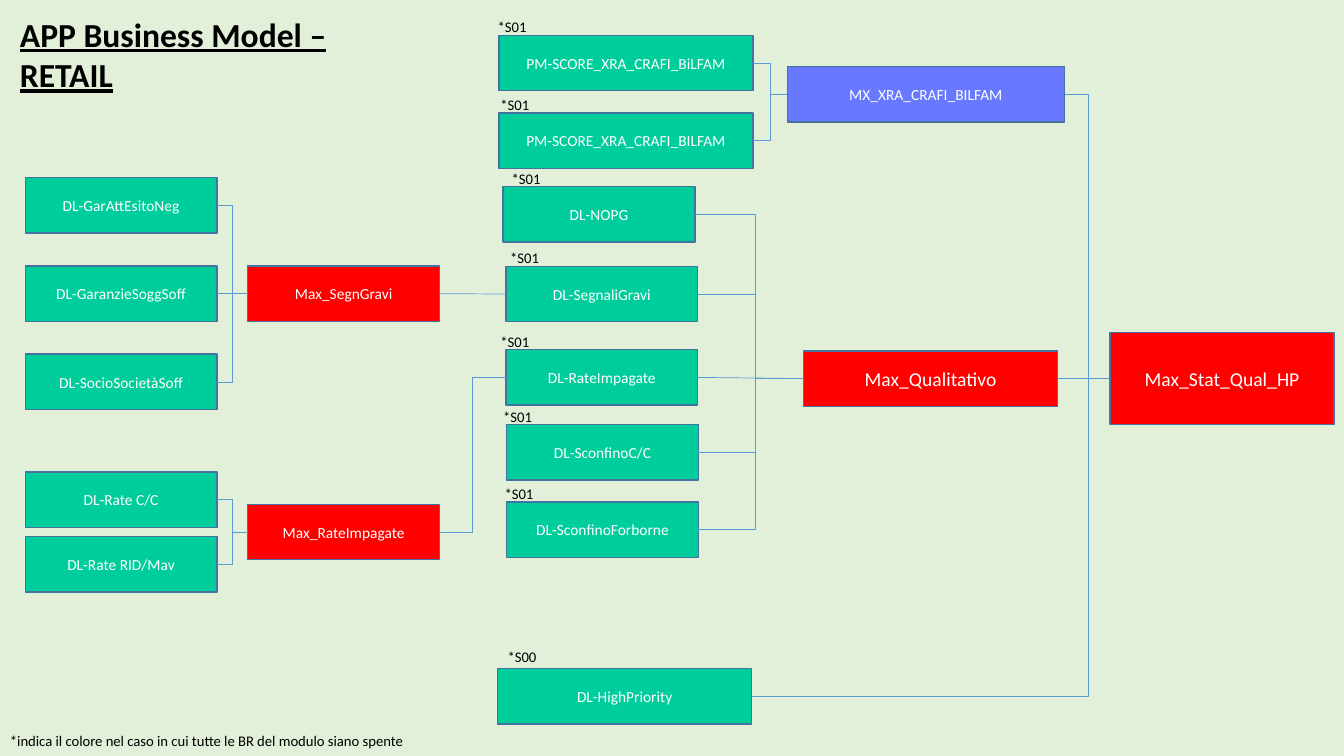
import collections

import pptx
import pptx.dml.color
import pptx.enum.shapes
import pptx.enum.text
import pptx.oxml
import pptx.util

Pt = pptx.util.Pt
Box = collections.namedtuple("Box", "left top width height")
Connector = pptx.enum.shapes.MSO_CONNECTOR
Anchor = pptx.enum.text.MSO_ANCHOR

COLOURS = {
    "page": "E2F0D9", "module": "00CD9C", "maximum": "FF0000", "score": "6879FF",
    "border": "43739E", "link": "5B9BD5", "dark": "000000", "light": "FFFFFF",
}
FONT = "Calibri"
NODE_HEIGHT = 39.6
NARROW, WIDE = 137, 181.5
LEFT_SITE, RIGHT_SITE = 1, 3


def colour(name):
    """Return the named colour as an RGB value."""
    return pptx.dml.color.RGBColor.from_string(COLOURS[name])


def inside(box, left, top, width, height=NODE_HEIGHT):
    """Return a box whose offsets are counted from the corner of another."""
    return Box(box.left + left, box.top + top, width, height)


def write(shape, text, size, ink):
    """Put one paragraph into a shape and return it."""
    shape.text_frame.word_wrap = True
    para = shape.text_frame.paragraphs[0]
    para.text = text
    para.font.name = FONT
    para.font.size = Pt(size)
    para.font.color.rgb = colour(ink)
    return para


def add_label(page, box, text, size=10.5):
    """Add a plain text box and return its paragraph and frame."""
    label = page.shapes.add_textbox(*map(Pt, box))
    return write(label, text, size, "dark"), label.text_frame


def add_node(page, box, text, fill="module", size=11):
    """Add one filled box of the diagram."""
    node = page.shapes.add_shape(
        pptx.enum.shapes.MSO_SHAPE.RECTANGLE, *map(Pt, box))
    node.shadow.inherit = False
    node.fill.solid()
    node.fill.fore_color.rgb = colour(fill)
    node.line.color.rgb = colour("border")
    node.line.width = Pt(1)
    node.text_frame.vertical_anchor = Anchor.MIDDLE
    para = write(node, text, size, "light")
    para.alignment = pptx.enum.text.PP_ALIGN.CENTER
    return node


def add_tag(page, box, left, top, text="*S01"):
    """Add the colour mark above a node."""
    add_label(page, inside(box, left, top, 94, 21), text)


def link(page, source, target, bend=None, kind=Connector.ELBOW):
    """Join two nodes, with the elbow at the horizontal position bend."""
    line = page.shapes.add_connector(kind, 0, 0, 0, 0)
    line.begin_connect(source, RIGHT_SITE)
    line.end_connect(target, LEFT_SITE)
    line.line.color.rgb = colour("link")
    line.line.width = Pt(0.5)
    properties = line._element.spPr
    pptx.oxml.ns  # namespace table used by qn below
    properties.append(pptx.oxml.xmlchemy.OxmlElement("a:effectLst"))
    if bend is not None:
        share = (Pt(bend) - line.begin_x) / (line.end_x - line.begin_x)
        guides = properties.prstGeom.get_or_add_avLst()
        guide = pptx.oxml.xmlchemy.OxmlElement("a:gd")
        guide.set("name", "adj1")
        guide.set("fmla", f"val {round(share * 100000)}")
        guides.append(guide)


def draw_title(page, box):
    """Write the underlined heading."""
    para, frame = add_label(page, box, "APP Business Model – RETAIL", 24)
    frame.vertical_anchor = Anchor.BOTTOM
    para.font.bold = para.font.underline = True


def draw_inputs(page, box, names, maximum):
    """Spread inputs down the box and join them to their maximum."""
    span = box.height - NODE_HEIGHT
    result = add_node(page, inside(box, box.width - NARROW, span / 2, NARROW),
                      maximum, "maximum")
    for index, name in enumerate(names):
        top = index * span / (len(names) - 1)
        link(page, add_node(page, inside(box, 0, top, NARROW), name), result)
    return result


def draw_scores(page, box):
    """Draw the two scores and the node that merges them."""
    merged = add_node(page, inside(box, box.width - 198, 22.3, 198),
                      "MX_XRA_CRAFI_BILFAM", "score")
    rows = [("PM-SCORE_XRA_CRAFI_BiLFAM", 0, -8),
            ("PM-SCORE_XRA_CRAFI_BILFAM", 55.4, -6)]
    for name, top, tag_left in rows:
        link(page, add_node(page, inside(box, 0, top, WIDE), name), merged)
        add_tag(page, box, tag_left, top - 16)
    return merged


def draw_modules(page, box):
    """Draw the column of tagged modules and return them by name."""
    rows = [("DL-NOPG", -2, 0, -3), ("DL-SegnaliGravi", 0, 57, -4),
            ("DL-RateImpagate", 0, 116.6, -11), ("DL-SconfinoC/C", 0.5, 170, -9),
            ("DL-SconfinoForborne", 0.5, 225.4, -8)]
    modules = {}
    for name, left, top, tag_left in rows:
        modules[name] = add_node(page, inside(box, left, top, NARROW), name)
        add_tag(page, box, tag_left, top - 15.7)
    return modules


def draw_priority(page, box):
    """Draw the high priority module with its mark."""
    add_tag(page, box, 0, -18, "*S00")
    return add_node(page, box, "DL-HighPriority")


def draw_outcome(page, box, modules, others):
    """Draw the qualitative and overall maxima with their incoming links."""
    middle = (box.height - NODE_HEIGHT) / 2
    quality = add_node(page, inside(box, 0, middle, WIDE),
                       "Max_Qualitativo", "maximum", 14)
    overall = add_node(page, inside(box, box.width - 160, 0, 160, box.height),
                       "Max_Stat_Qual_HP", "maximum", 14)
    for name, module in modules.items():
        if name == "DL-RateImpagate":
            link(page, module, quality, kind=Connector.STRAIGHT)
        else:
            link(page, module, quality, box.left - 34.5)
    link(page, quality, overall, kind=Connector.STRAIGHT)
    for other in others:
        link(page, other, overall, box.left + 203.3)


def main():
    """Build the slide and save it."""
    deck = pptx.Presentation()
    deck.slide_width, deck.slide_height = Pt(960), Pt(540)
    page = deck.slides.add_slide(deck.slide_layouts[6])
    page.background.fill.solid()
    page.background.fill.fore_color.rgb = colour("page")

    draw_title(page, Box(7.2, 10, 269, 61))
    serious = draw_inputs(
        page, Box(18, 127, 296, 165.6),
        ["DL-GarAttEsitoNeg", "DL-GaranzieSoggSoff", "DL-SocioSocietàSoff"],
        "Max_SegnGravi")
    unpaid = draw_inputs(page, Box(18, 337, 296, 86),
                         ["DL-Rate C/C", "DL-Rate RID/Mav"], "Max_RateImpagate")
    scores = draw_scores(page, Box(356.4, 25.2, 404, 95))
    modules = draw_modules(page, Box(361.4, 133.2, 137.5, 265))
    priority = draw_priority(page, Box(355.5, 477.5, WIDE, NODE_HEIGHT))
    draw_outcome(page, Box(574, 237.4, 379, 66), modules, [scores, priority])
    link(page, serious, modules["DL-SegnaliGravi"], kind=Connector.STRAIGHT)
    link(page, unpaid, modules["DL-RateImpagate"])
    add_label(page, Box(0, 519, 311, 20),
              "*indica il colore nel caso in cui tutte le BR del modulo siano spente")
    deck.save("out.pptx")


main()
